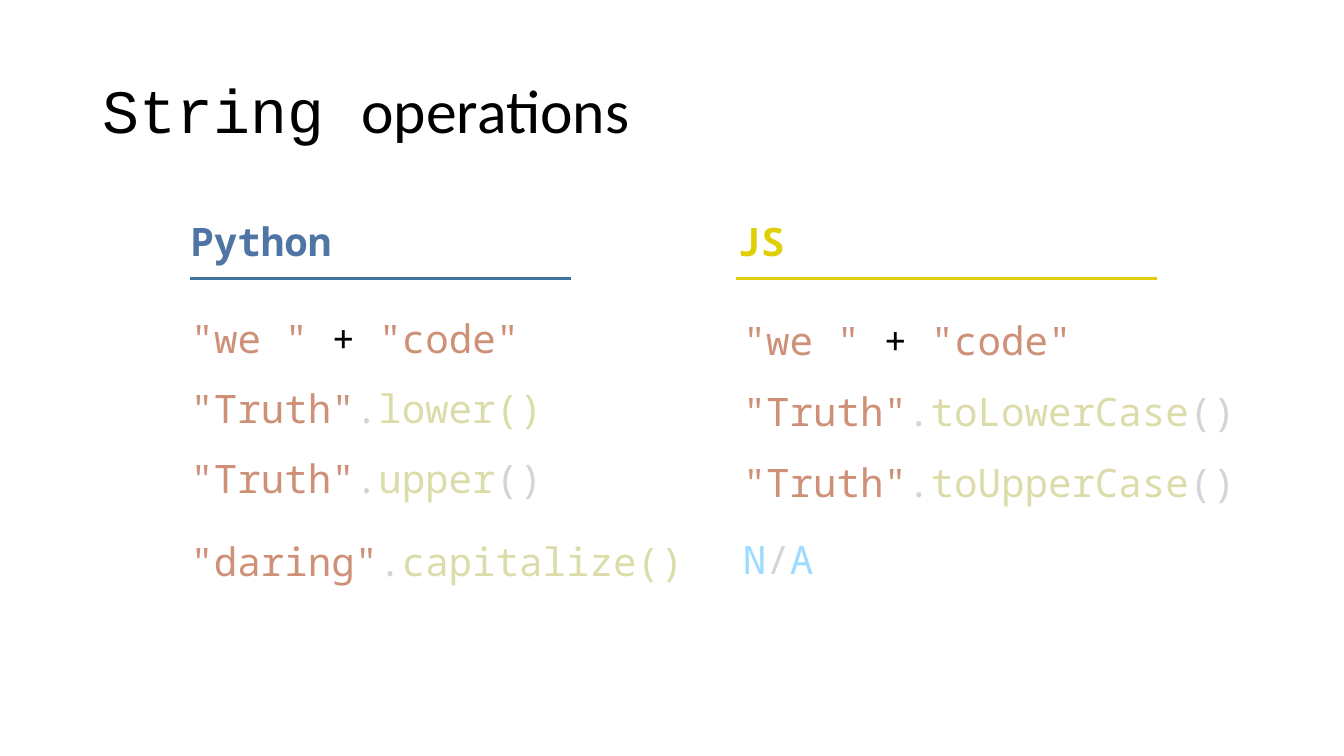
from lxml import etree
from pptx import Presentation
from pptx.dml.color import RGBColor
from pptx.enum.shapes import MSO_CONNECTOR
from pptx.enum.text import MSO_ANCHOR, MSO_AUTO_SIZE, PP_ALIGN
from pptx.oxml.ns import qn
from pptx.util import Cm, Pt

BLACK = RGBColor(0x00, 0x00, 0x00)
STRING = RGBColor(0xCE, 0x91, 0x78)
PUNCTUATION = RGBColor(0xD4, 0xD4, 0xD4)
METHOD = RGBColor(0xDC, 0xDC, 0xAA)
CONSTANT = RGBColor(0x9C, 0xDC, 0xFE)
PYTHON_BLUE = RGBColor(0x4E, 0x75, 0xA3)
PYTHON_RULE = RGBColor(0x40, 0x74, 0x9B)
JS_YELLOW = RGBColor(0xDF, 0xCF, 0x04)

CODE_FONT = "Noto Sans Mono"
HEADING_TOP = 5.36
RULE_TOP = 7.01

# Each code line: top in cm, width in cm, single-spaced, coloured tokens
JOIN = [('"we " ', STRING), ("+ ", BLACK), ('"code"', STRING)]


def call(text, method, brackets=PUNCTUATION):
    return [(f'"{text}"', STRING), (".", PUNCTUATION),
            (method, METHOD), ("()", brackets)]


PYTHON_LINES = [
    (7.92, 9.83, False, JOIN),
    (9.55, 9.83, True, call("Truth", "lower", METHOD)),
    (11.46, 9.83, False, call("Truth", "upper")),
    (13.56, 13.16, False, call("daring", "capitalize", METHOD)),
]
JS_LINES = [
    (7.98, 13.89, False, JOIN),
    (9.63, 15.39, True, call("Truth", "toLowerCase")),
    (11.56, 13.89, False, call("Truth", "toUpperCase")),
    (13.51, 8.18, False,
     [("N", CONSTANT), ("/", PUNCTUATION), ("A", CONSTANT)]),
]


def place(shape, left, top, width, height):
    shape.left, shape.top = Cm(left), Cm(top)
    shape.width, shape.height = Cm(width), Cm(height)


def add_run(paragraph, text, color, font=CODE_FONT, size=28, bold=False):
    run = paragraph.add_run()
    run.text = text
    run.font.name = font
    run.font.size = Pt(size)
    run.font.bold = bold
    run.font.color.rgb = color


def add_box(slide, left, top, width, height):
    return slide.shapes.add_textbox(Cm(left), Cm(top), Cm(width), Cm(height))


def fill_code(shape, tokens, single_spaced=False, bold=False):
    frame = shape.text_frame
    frame.word_wrap = True
    frame.auto_size = (MSO_AUTO_SIZE.SHAPE_TO_FIT_TEXT if single_spaced
                       else MSO_AUTO_SIZE.NONE)
    paragraph = frame.paragraphs[0]
    if not single_spaced:
        paragraph.line_spacing = 0.9
        paragraph.space_before = Pt(10)
    for text, color in tokens:
        add_run(paragraph, text, color, bold=bold)


def remove_bullet(paragraph):
    properties = paragraph._p.get_or_add_pPr()
    properties.set("marL", "0")
    properties.set("indent", "0")
    etree.SubElement(properties, qn("a:buNone"))


def add_rule(slide, left, right, color):
    rule = slide.shapes.add_connector(
        MSO_CONNECTOR.STRAIGHT, Cm(left), Cm(RULE_TOP), Cm(right), Cm(RULE_TOP))
    rule.line.color.rgb = color
    rule.line.width = Pt(2.25)
    etree.SubElement(rule._element.spPr, qn("a:effectLst"))


def add_heading(slide, text, left, color):
    box = add_box(slide, left, HEADING_TOP, 4.62, 1.45)
    fill_code(box, [(text, color)], single_spaced=True, bold=True)


def add_code_lines(slide, left, lines, first_shape=None):
    for index, (top, width, single_spaced, tokens) in enumerate(lines):
        height = 1.45 if single_spaced else 1.65
        if index == 0 and first_shape is not None:
            shape = first_shape
            place(shape, left, top, width, height)
        else:
            shape = add_box(slide, left, top, width, height)
        fill_code(shape, tokens, single_spaced)


def fill_title(title):
    place(title, 2.33, 1.02, 29.21, 3.68)
    title.text_frame.vertical_anchor = MSO_ANCHOR.MIDDLE
    title.text_frame.auto_size = MSO_AUTO_SIZE.NONE
    paragraph = title.text_frame.paragraphs[0]
    paragraph.alignment = PP_ALIGN.LEFT
    paragraph.line_spacing = 0.9
    add_run(paragraph, "String ", BLACK, "Courier New", 44)
    add_run(paragraph, "operations", BLACK, "Calibri", 44)


def main():
    deck = Presentation()
    deck.slide_width, deck.slide_height = Cm(33.87), Cm(19.05)
    slide = deck.slides.add_slide(deck.slide_layouts[1])
    fill_title(slide.shapes.title)

    # Python column, opening with the body placeholder
    body = slide.placeholders[1]
    add_code_lines(slide, 4.55, PYTHON_LINES, body)
    remove_bullet(body.text_frame.paragraphs[0])
    add_heading(slide, "Python", 4.55, PYTHON_BLUE)
    add_rule(slide, 4.8, 14.38, PYTHON_RULE)

    # JS column
    add_code_lines(slide, 18.47, JS_LINES)
    add_heading(slide, "JS", 18.34, JS_YELLOW)
    add_rule(slide, 18.54, 29.16, JS_YELLOW)

    deck.save("out.pptx")


main()
